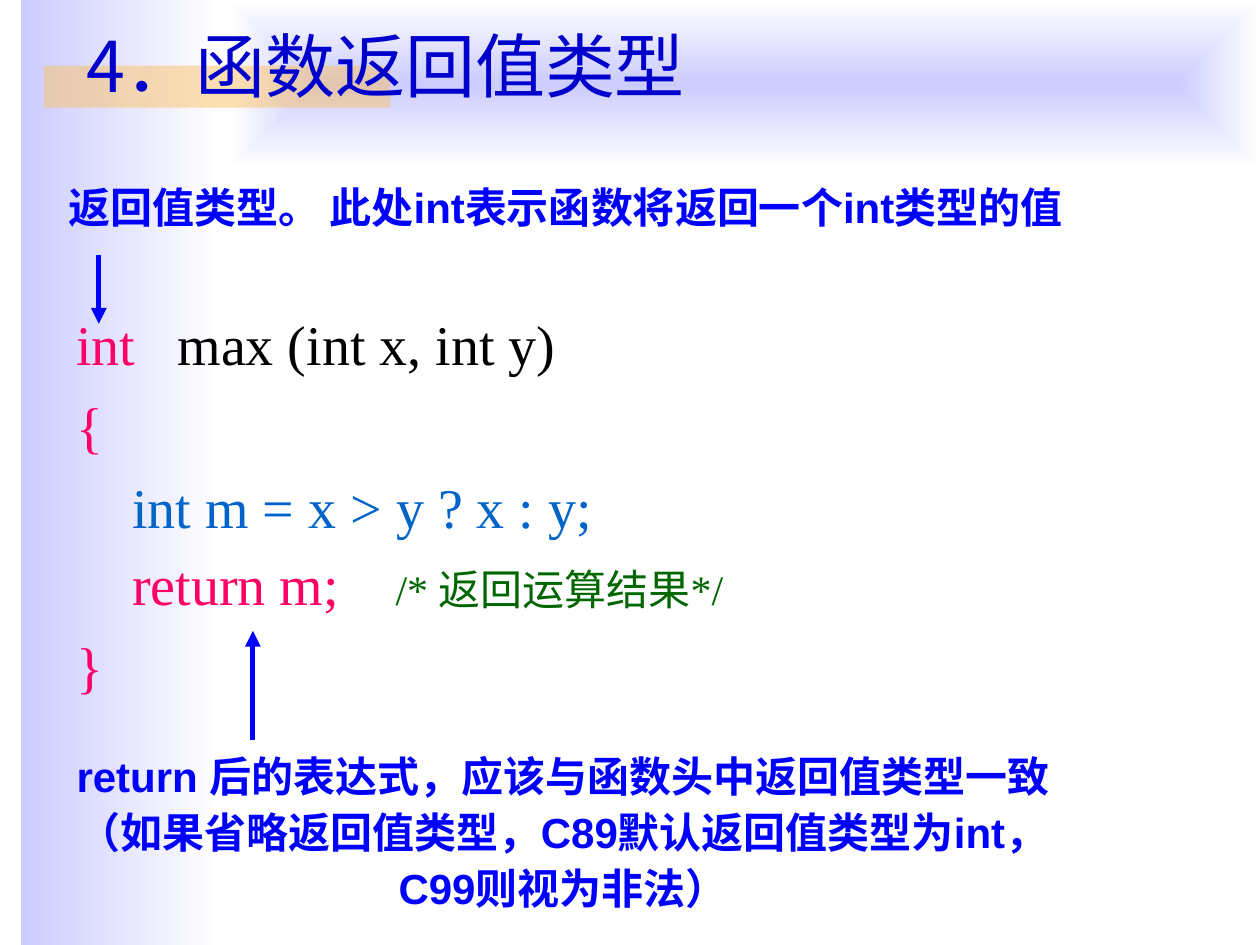
"""Build the slide on function return value types."""
from lxml import etree
from pptx import Presentation
from pptx.dml.color import RGBColor as RGB
from pptx.enum.shapes import MSO_CONNECTOR as CONN, MSO_SHAPE as SHAPE
from pptx.enum.text import MSO_ANCHOR as ANCHOR, PP_ALIGN as ALIGN
from pptx.oxml.ns import qn
from pptx.util import Pt

CJK = "Noto Sans CJK SC"
BLUE, PINK = "0000FF", "FF0066"


def color(value):
    return RGB.from_string(value)


def add_text(box, paragraphs, wrap=True, anchor=ANCHOR.TOP):
    s = prs.slides[0].shapes.add_textbox(*map(Pt, box))
    tf = s.text_frame
    tf.word_wrap, tf.vertical_anchor = wrap, anchor
    for i, (fmt, runs) in enumerate(paragraphs):
        p = tf.add_paragraph() if i else tf.paragraphs[0]
        for name, value in fmt.items():
            if i or name != "space_before":
                setattr(p, name, value)
        for text, size, font, fill, bold in runs:
            r = p.add_run()
            r.text = text
            for name, value in {"size": Pt(size), "name": font, "bold": bold}.items():
                setattr(r.font, name, value)
            r.font.color.rgb = color(fill)
            etree.SubElement(r.font._element, qn("a:ea")).set("typeface", CJK)


prs = Presentation()
prs.slide_width, prs.slide_height = Pt(720), Pt(540)
slide = prs.slides.add_slide(prs.slide_layouts[6])

panels = []
for box in [(12, 0, 114, 540), (132, 0, 588, 96), (25, 37.5, 198, 24)]:
    s = slide.shapes.add_shape(SHAPE.RECTANGLE, *map(Pt, box))
    s.shadow.inherit = False
    s.line.fill.background()
    panels.append(s)
side, header, accent = panels

for s in (side, header):
    s.fill.gradient()
    s.fill.gradient_angle = 0
    for stop, (value, position) in zip(s.fill.gradient_stops, [("CCCCFF", 0), ("FFFFFF", 1)]):
        stop.color.rgb, stop.position = color(value), position
grad = header._element.spPr.find(qn("a:gradFill"))
grad.remove(grad.find(qn("a:lin")))
radial = etree.SubElement(grad, qn("a:path"))
radial.set("path", "rect")
focus = etree.SubElement(radial, qn("a:fillToRect"))
for edge in "ltrb":
    focus.set(edge, "50000")

accent.fill.solid()
accent.fill.fore_color.rgb = color("FAC164")
tint = accent._element.spPr.find(qn("a:solidFill"))[0]
etree.SubElement(tint, qn("a:alpha")).set("val", "50000")

code = [
    (8, [("int  ", 32, PINK), (" max (int x, int y)", 32, "000000")]),
    (8, [("{", 32, PINK)]),
    (8, [("    int m = x > y ? x : y;", 32, "0064C8")]),
    (6, [("    return m;    ", 32, PINK), ("/* 返回运算结果*/", 24, "006600")]),
    (8, [("}", 32, PINK)]),
]
add_text((36.5, 173.5, 658, 266.5), [
    ({"space_before": Pt(gap)}, [(text, size, "Times New Roman", fill, False) for text, size, fill in runs])
    for gap, runs in code])

note = {"alignment": ALIGN.CENTER, "line_spacing": 0.9, "space_before": Pt(6)}
add_text((17, 100, 612, 36), [
    ({"alignment": ALIGN.CENTER}, [("返回值类型。 此处int表示函数将返回一个int类型的值", 24, "Arial", BLUE, True)])], wrap=False)
add_text((26.5, 428.5, 590.5, 97), [
    (note, [(line, 24, "Arial", BLUE, True)]) for line in (
        "return 后的表达式，应该与函数头中返回值类型一致",
        "（如果省略返回值类型，C89默认返回值类型为int，",
        "C99则视为非法）")], wrap=False)
add_text((42.5, 0, 640, 73.5), [({}, [("4．函数返回值类型", 40, CJK, "0000CC", False)])], anchor=ANCHOR.MIDDLE)

for x, start, end in [(56.5, 145.5, 185), (144.5, 423, 360.5)]:
    s = slide.shapes.add_connector(CONN.STRAIGHT, Pt(x), Pt(start), Pt(x), Pt(end))
    s.line.width = Pt(3)
    s.line.color.rgb = color(BLUE)
    etree.SubElement(s.line._get_or_add_ln(), qn("a:tailEnd")).set("type", "triangle")
    etree.SubElement(s._element.spPr, qn("a:effectLst"))

prs.save("out.pptx")
